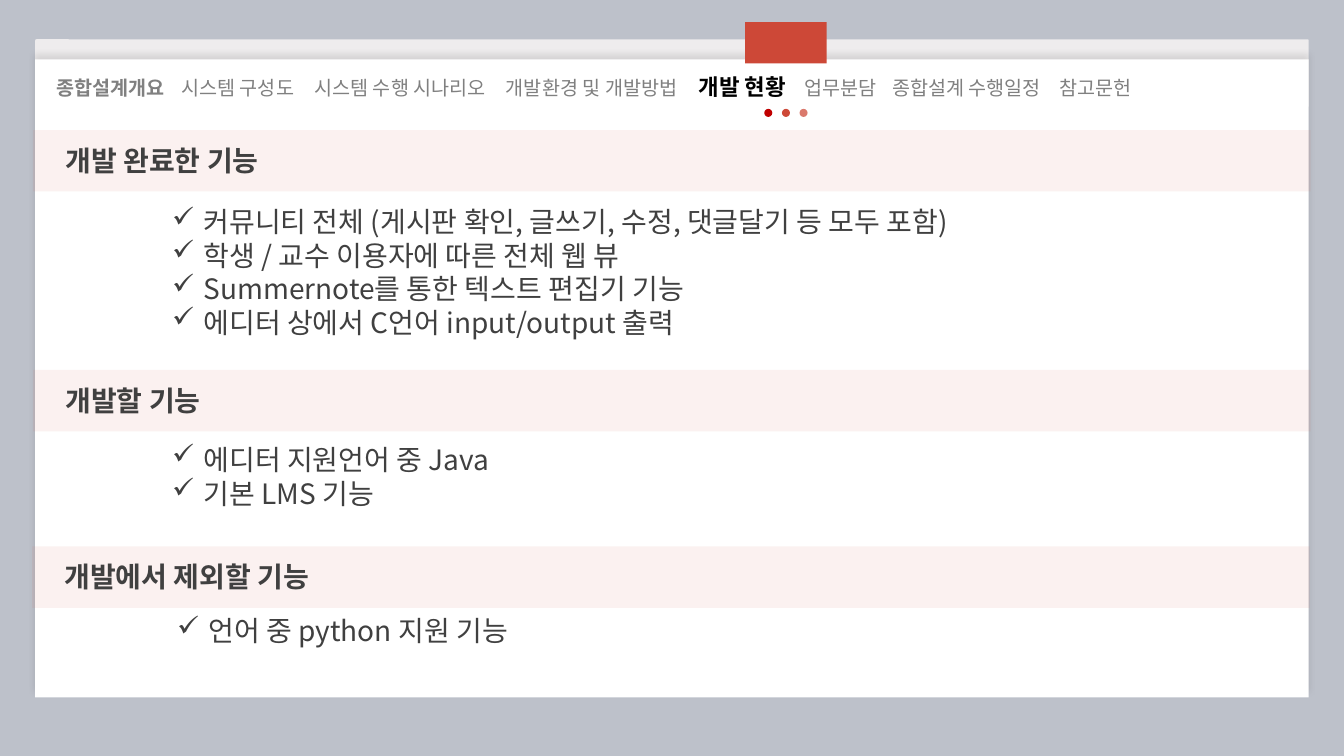
import pptx
import pptx.dml.color
import pptx.enum.shapes
import pptx.enum.text
import pptx.oxml
import pptx.oxml.ns
import pptx.util
from lxml import etree
from pptx.util import Inches

FONT = "Noto Sans CJK KR"
SHAPE = pptx.enum.shapes.MSO_SHAPE
ANCHOR = pptx.enum.text.MSO_ANCHOR
RED, PALE_RED, DARK, GREY = "CD4837", "DA796C", "404040", "808080"

# Menu entries with their start, measured from the first entry
MENU = [
    ("종합설계개요", 0),
    ("시스템 구성도", 1.24),
    ("시스템 수행 시나리오", 2.56),
    ("개발환경 및 개발방법", 4.46),
    ("개발 현황", 6.37),
    ("업무분담", 7.42),
    ("종합설계 수행일정", 8.29),
    ("참고문헌", 9.95),
]
CURRENT = "개발 현황"

# Heading, band left and top, list box (left, top, width, height), list entries
SECTIONS = [
    ("개발 완료한 기능", 0.33, 1.29, (1.61, 1.98, 8.46, 1.45), [
        "커뮤니티 전체 (게시판 확인, 글쓰기, 수정, 댓글달기 등 모두 포함)",
        "학생 / 교수 이용자에 따른 전체 웹 뷰",
        "Summernote를 통한 텍스트 편집기 기능",
        "에디터 상에서 C언어 input/output 출력",
    ]),
    ("개발할 기능", 0.33, 3.67, (1.61, 4.34, 3.61, 0.77), [
        "에디터 지원언어 중 Java",
        "기본 LMS 기능",
    ]),
    ("개발에서 제외할 기능", 0.32, 5.42, (1.66, 6.04, 3.64, 0.44), [
        "언어 중 python 지원 기능",
    ]),
]


def rgb(value):
    return pptx.dml.color.RGBColor.from_string(value)


def add_element(parent, tag, **attributes):
    element = etree.SubElement(parent, pptx.oxml.ns.qn(tag))
    for name, value in attributes.items():
        element.set(name, str(value))
    return element


def style_font(font, size, color, bold=False):
    font.name = FONT
    font.size = pptx.util.Pt(size)
    font.bold = bold
    font.color.rgb = rgb(color)
    add_element(font._rPr, "a:ea", typeface=FONT)


def add_block(slide, kind, left, top, width, height, color, opacity=100):
    block = slide.shapes.add_shape(
        kind, Inches(left), Inches(top), Inches(width), Inches(height))
    block.shadow.inherit = False
    block.line.fill.background()
    block.fill.solid()
    block.fill.fore_color.rgb = rgb(color)
    if opacity < 100:
        swatch = block._element.spPr.find(".//" + pptx.oxml.ns.qn("a:srgbClr"))
        add_element(swatch, "a:alpha", val=opacity * 1000)
    return block


def add_shadow(block):
    effects = block._element.spPr.find(pptx.oxml.ns.qn("a:effectLst"))
    shadow = add_element(
        effects, "a:outerShdw", blurRad=pptx.util.Pt(4), dist=pptx.util.Pt(3),
        dir=270 * 60000, algn="b", rotWithShape=0)
    swatch = add_element(shadow, "a:srgbClr", val="000000")
    add_element(swatch, "a:alpha", val=10000)


def add_text_frame(slide, left, top, width, height, anchor=ANCHOR.TOP):
    frame = slide.shapes.add_textbox(
        Inches(left), Inches(top), Inches(width), Inches(height)).text_frame
    frame.word_wrap = True
    frame.vertical_anchor = anchor
    return frame


def add_menu(slide):
    paragraph = add_text_frame(
        slide, 0.46, 0.67, 12.51, 0.37, ANCHOR.MIDDLE).paragraphs[0]
    tabs = add_element(paragraph._p.get_or_add_pPr(), "a:tabLst")
    for index, (label, start) in enumerate(MENU):
        if index:
            add_element(tabs, "a:tab", pos=Inches(start), algn="l")
        entry = paragraph.add_run()
        entry.text = "\t" + label if index else label
        if label == CURRENT:
            style_font(entry.font, 16, "000000", bold=True)
        else:
            style_font(entry.font, 14, GREY, bold=index == 0)


def add_heading(slide, heading, left, top):
    add_block(slide, SHAPE.RECTANGLE, left, top, 12.67, 0.61, PALE_RED, 10)
    frame = add_text_frame(slide, left + 0.22, top + 0.08, 3, 0.44, ANCHOR.MIDDLE)
    frame.text = heading
    style_font(frame.paragraphs[0].font, 20, DARK, bold=True)


def add_checklist(slide, box, entries):
    frame = add_text_frame(slide, *box)
    frame.text = "\n".join(entries)
    for paragraph in frame.paragraphs:
        properties = paragraph._p.get_or_add_pPr()
        properties.set("marL", str(Inches(0.31)))
        properties.set("indent", str(Inches(-0.31)))
        add_element(properties, "a:buChar", char="✓")
        paragraph.line_spacing = pptx.util.Pt(24)
        style_font(paragraph.font, 20, DARK)


def main():
    presentation = pptx.Presentation()
    presentation.slide_width = Inches(13.33)
    presentation.slide_height = Inches(7.5)
    slide = presentation.slides.add_slide(presentation.slide_layouts[6])
    slide.background.fill.solid()
    slide.background.fill.fore_color.rgb = rgb("BDC1CA")

    # Page with the sheet behind it
    back_sheet = add_block(
        slide, SHAPE.ROUNDED_RECTANGLE, 0.35, 0.39, 12.63, 0.67, "EEECED")
    back_sheet.adjustments[0] = 0.015
    page = add_block(slide, SHAPE.RECTANGLE, 0.35, 0.59, 12.63, 6.33, "FFFFFF")
    add_shadow(page)

    # Menu with the marker of the current entry
    add_menu(slide)
    add_block(slide, SHAPE.RECTANGLE, 7.39, 0.22, 0.81, 0.41, RED)
    for index, color in enumerate(["C00000", RED, PALE_RED]):
        add_block(slide, SHAPE.OVAL, 7.58 + index * 0.175, 1.08, 0.08, 0.08, color)

    # Sections
    for heading, left, top, box, entries in SECTIONS:
        add_heading(slide, heading, left, top)
        add_checklist(slide, box, entries)

    presentation.save("out.pptx")


if __name__ == "__main__":
    main()
